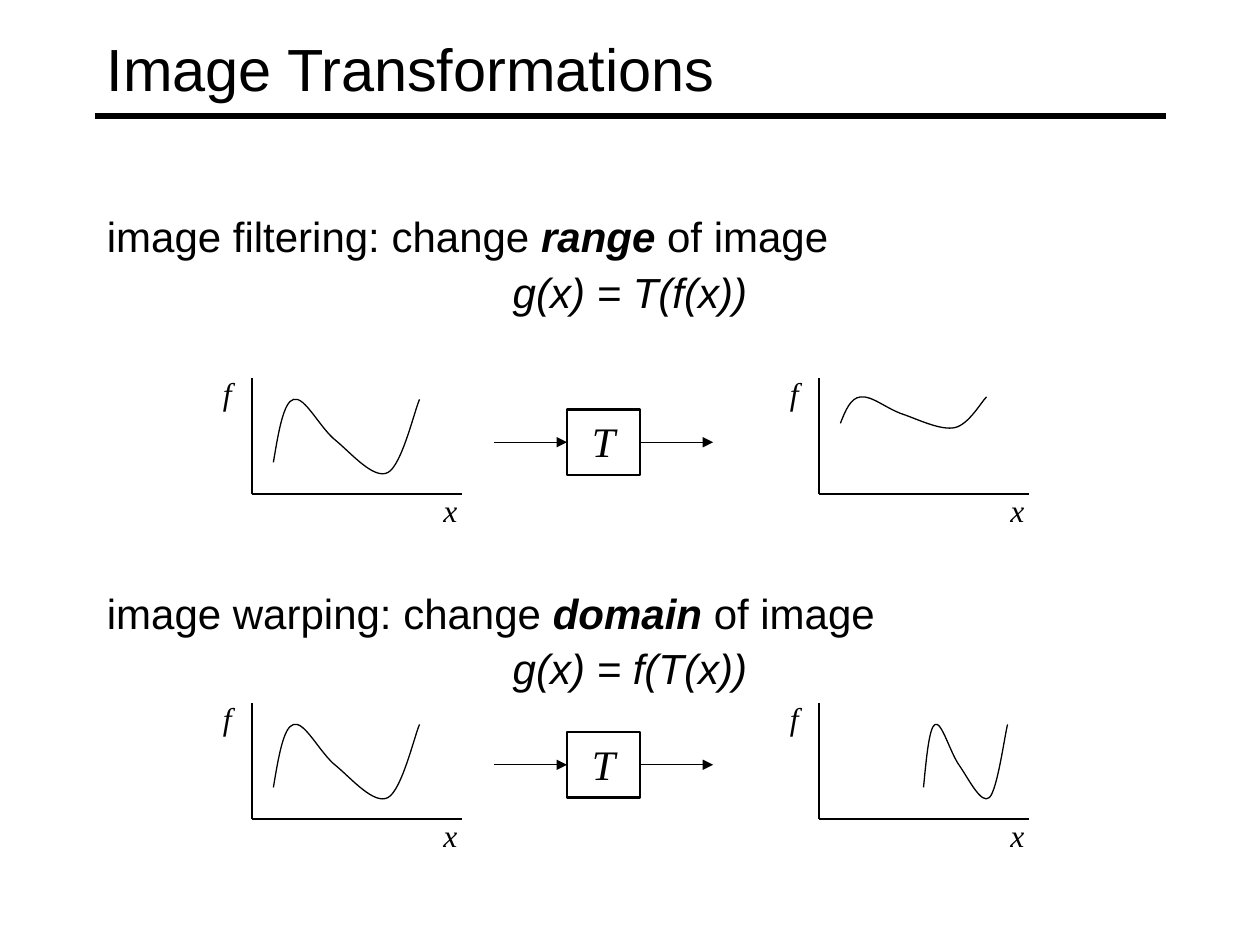
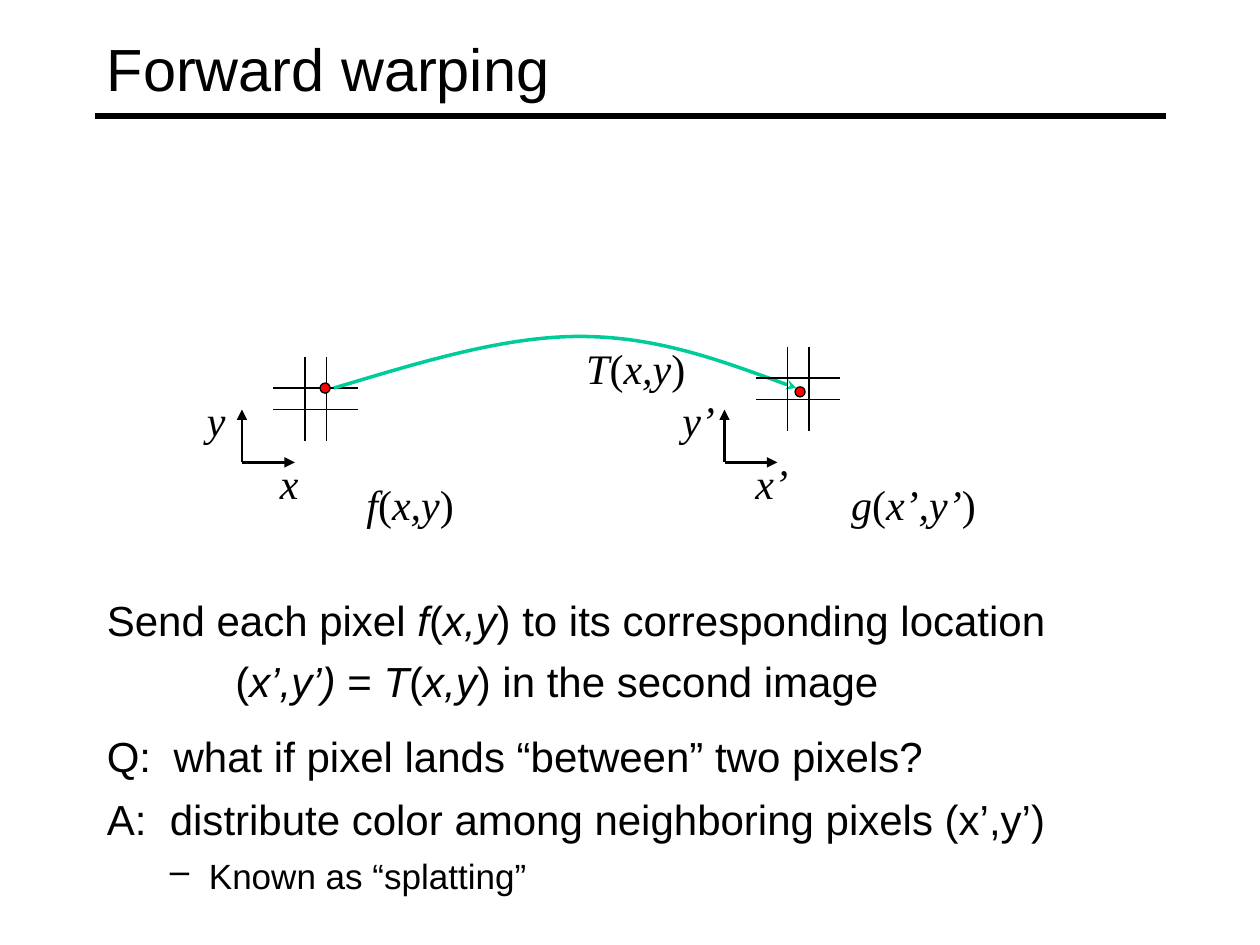
import pptx
import pptx.dml.color
import pptx.enum.shapes
import pptx.enum.text
import pptx.oxml
import pptx.oxml.ns
import pptx.util
from pptx.util import Inches

BLACK, RED, GREEN = "000000", "FF0000", "00CC99"
SANS, SERIF = "Arial", "Times New Roman"
LEFT, WIDTH = 0.75, 8.5
HANGING = 0.38
CENTER = pptx.enum.text.PP_ALIGN.CENTER
SHAPES = pptx.enum.shapes.MSO_SHAPE

# Start and Bezier control points of the signal f, measured from the plot corner
SIGNAL = [(0.17, 0.67),
          (0.21, 0.43), (0.25, 0.19), (0.33, 0.17),
          (0.42, 0.14), (0.54, 0.40), (0.67, 0.50),
          (0.79, 0.60), (0.97, 0.81), (1.08, 0.75),
          (1.19, 0.69), (1.29, 0.26), (1.33, 0.17)]


def color(hex_string):
    return pptx.dml.color.RGBColor.from_string(hex_string)


def add_xml(parent, tag, **attributes):
    element = pptx.oxml.parse_xml(f"<a:{tag} {pptx.oxml.ns.nsdecls('a')}/>")
    for name, value in attributes.items():
        element.set(name, value)
    parent.append(element)
    return element


def set_line(shape, width, line_color=BLACK, arrowhead=None):
    shape.line.color.rgb = color(line_color)
    shape.line.width = pptx.util.Pt(width)
    if arrowhead:
        line = shape._element.spPr.find(pptx.oxml.ns.qn("a:ln"))
        add_xml(line, "tailEnd", type=arrowhead)


# Text
def add_runs(paragraph, text, size, font):
    """Pieces between asterisks are italic; a leading ! makes them bold too."""
    for index, piece in enumerate(text.split("*")):
        if not piece:
            continue
        run = paragraph.add_run()
        run.text = piece.lstrip("!") if index % 2 else piece
        run.font.name = font
        run.font.size = pptx.util.Pt(size)
        run.font.color.rgb = color(BLACK)
        run.font.italic = index % 2 == 1
        run.font.bold = index % 2 == 1 and piece.startswith("!")


def set_indent(paragraph, margin, first_line):
    properties = paragraph._p.get_or_add_pPr()
    properties.set("marL", str(Inches(margin)))
    properties.set("indent", str(Inches(first_line)))


def add_text_box(slide, left, top, width, height):
    text_frame = slide.shapes.add_textbox(
        Inches(left), Inches(top), Inches(width), Inches(height)).text_frame
    text_frame.word_wrap = True
    return text_frame


def add_label(slide, text, left, top, width, height=0.5, size=24, align=CENTER):
    paragraph = add_text_box(slide, left, top, width, height).paragraphs[0]
    paragraph.alignment = align
    add_runs(paragraph, text, size, SERIF)


def add_body(slide, top, height, texts, size=24):
    """Add one hanging-indent paragraph per text and return them."""
    text_frame = add_text_box(slide, LEFT, top, WIDTH, height)
    paragraphs = [text_frame.paragraphs[0]]
    paragraphs += [text_frame.add_paragraph() for _ in texts[1:]]
    for paragraph, text in zip(paragraphs, texts):
        add_runs(paragraph, text, size, SANS)
        set_indent(paragraph, HANGING, -HANGING)
    for paragraph in paragraphs[1:]:
        paragraph.space_before = pptx.util.Pt(6)
    return paragraphs


# Lines and shapes
def add_line(slide, start, end, width=0.75, arrowhead=None):
    connector = slide.shapes.add_connector(
        pptx.enum.shapes.MSO_CONNECTOR.STRAIGHT,
        *(Inches(value) for value in (*start, *end)))
    set_line(connector, width, arrowhead=arrowhead)
    add_xml(connector._element.spPr, "effectLst")
    return connector


def add_curve(slide, points, width=0.75, line_color=BLACK, arrowhead=None):
    """Draw a cubic Bezier curve through a start and triples of points."""
    corners = [(Inches(x), Inches(y)) for x, y in points]
    builder = slide.shapes.build_freeform(*corners[0])
    builder.add_line_segments(corners[1:], close=False)
    curve = builder.convert_to_shape()
    segments = list(curve._element.iter(pptx.oxml.ns.qn("a:lnTo")))
    outline = segments[0].getparent()
    for first in range(0, len(segments), 3):
        bezier = add_xml(outline, "cubicBezTo")
        for segment in segments[first:first + 3]:
            bezier.append(segment[0])
            outline.remove(segment)
    curve.fill.background()
    curve.shadow.inherit = False
    set_line(curve, width, line_color, arrowhead)


def add_shape(slide, kind, left, top, width, height, line_width, fill=None):
    shape = slide.shapes.add_shape(
        kind, Inches(left), Inches(top), Inches(width), Inches(height))
    shape.shadow.inherit = False
    set_line(shape, line_width)
    if fill:
        shape.fill.solid()
        shape.fill.fore_color.rgb = color(fill)
    else:
        shape.fill.background()
    return shape


# Elements of the transformation slide
def add_plot(slide, x, y, signal):
    corner = (x, y + 0.92)
    add_line(slide, (x, y), corner)
    add_line(slide, corner, (x + 1.67, y + 0.92))
    add_curve(slide, [(x + dx, y + dy) for dx, dy in signal])
    for text, dx, dy in (("*f*", -0.33, -0.08), ("*x*", 1.42, 0.85)):
        add_label(slide, text, x + dx, y + dy, 0.42, 0.4, 18, None)


def add_operator(slide, top):
    left, width, height, arrow = 4.5, 0.58, 0.52, 0.58
    right, middle = left + width, top + height / 2
    box = add_shape(slide, SHAPES.RECTANGLE, left, top, width, height, 1.5)
    box.text_frame.vertical_anchor = pptx.enum.text.MSO_ANCHOR.TOP
    paragraph = box.text_frame.paragraphs[0]
    paragraph.alignment = CENTER
    add_runs(paragraph, "*T*", 24, SERIF)
    incoming = add_line(slide, (left - arrow, middle), (left, middle),
                        arrowhead="triangle")
    incoming.end_connect(box, 1)
    outgoing = add_line(slide, (right, middle), (right + arrow, middle),
                        arrowhead="triangle")
    outgoing.begin_connect(box, 3)


# Elements of the warping slide
def add_pixel_grid(slide, x, y):
    length = 0.67
    for offset in (0.25, 0.42):
        add_line(slide, (x + offset, y), (x + offset, y + length))
        add_line(slide, (x, y + offset), (x + length, y + offset))


def add_axes(slide, x, y, x_name, y_name):
    for end in ((x, y - 0.42), (x + 0.42, y)):
        add_line(slide, (x, y), end, 1.5, "triangle")
    add_label(slide, x_name, x, y - 0.09, 0.75)
    add_label(slide, y_name, x - 0.58, y - 0.59, 0.75)


def add_titled_slide(presentation, title):
    slide = presentation.slides.add_slide(presentation.slide_layouts[6])
    add_line(slide, (LEFT, 0.92), (LEFT + WIDTH, 0.92), 3)
    text_frame = add_text_box(slide, LEFT, 0.08, WIDTH, 0.92)
    text_frame.vertical_anchor = pptx.enum.text.MSO_ANCHOR.MIDDLE
    add_runs(text_frame.paragraphs[0], title, 34, SANS)
    return slide


def build_transformations(presentation):
    slide = add_titled_slide(presentation, "Image Transformations")
    filtered = [(x, 0.15 + 0.42 * (y - 0.17)) for x, y in SIGNAL]
    warped = [(0.83 + 0.575 * (x - 0.17), y) for x, y in SIGNAL]
    rows = (
        ("image filtering: change *!range* of image", "*g(x) = T(f(x))*",
         1.67, 0.9, 3, 3.25, filtered),
        ("image warping: change *!domain* of image", "*g(x) = f(T(x))*",
         4.33, 1.7, 5.58, 5.81, warped),
    )
    for sentence, formula, top, spacing, plot_top, box_top, result in rows:
        statement, equation = add_body(slide, top, 1.08, [sentence, formula])
        statement.line_spacing = spacing
        equation.line_spacing = 0.9
        equation.alignment = CENTER
        add_plot(slide, 2, plot_top, SIGNAL)
        add_operator(slide, box_top)
        add_plot(slide, 6.5, plot_top, result)


def build_forward_warping(presentation):
    slide = add_titled_slide(presentation, "Forward warping")

    # Source and target images with the mapping between them
    add_pixel_grid(slide, 2.17, 2.83)
    add_axes(slide, 1.92, 3.67, "*x*", "*y*")
    add_axes(slide, 5.75, 3.67, "*x’*", "*y’*")
    add_curve(slide, [(2.65, 3.08), (3.32, 2.88), (3.99, 2.67), (4.6, 2.67),
                      (5.22, 2.67), (5.77, 2.88), (6.32, 3.08)],
              2, GREEN, "stealth")
    for left, top in ((2.54, 3.04), (6.31, 3.07)):
        add_shape(slide, SHAPES.OVAL, left, top, 0.08, 0.08, 0.75, RED)
    add_pixel_grid(slide, 6, 2.75)
    add_label(slide, "*f*(*x,y*)", 2.67, 3.75, 1.17)
    add_label(slide, "*g*(*x’,y’*)", 6.5, 3.75, 1.5)
    add_label(slide, "*T*(*x,y*)", 4.42, 2.67, 1.25)

    # Explanation
    _, target = add_body(slide, 4.67, 2.08, [
        "Send each pixel *f*(*x,y*) to its corresponding location",
        "(*x’,y’) *= *T*(*x,y*) in the second image"])
    set_indent(target, 1.02, 0)
    question, = add_body(slide, 5.75, 1, [
        "Q:\twhat if pixel lands “between” two pixels?"])
    set_indent(question, 0.53, -0.53)
    answer, detail = add_body(slide, 6.25, 1, [
        "A:\tdistribute color among neighboring pixels (x’,y’)",
        "Known as “splatting”"])
    set_indent(answer, 0.5, -0.5)
    detail.level = 1
    set_indent(detail, 0.81, -0.31)
    detail.runs[0].font.size = pptx.util.Pt(20)
    add_xml(detail._p.get_or_add_pPr(), "buChar", char="–")


def main():
    presentation = pptx.Presentation()
    presentation.slide_width = Inches(10)
    presentation.slide_height = Inches(7.5)
    build_transformations(presentation)
    build_forward_warping(presentation)
    presentation.save("out.pptx")


if __name__ == "__main__":
    main()
